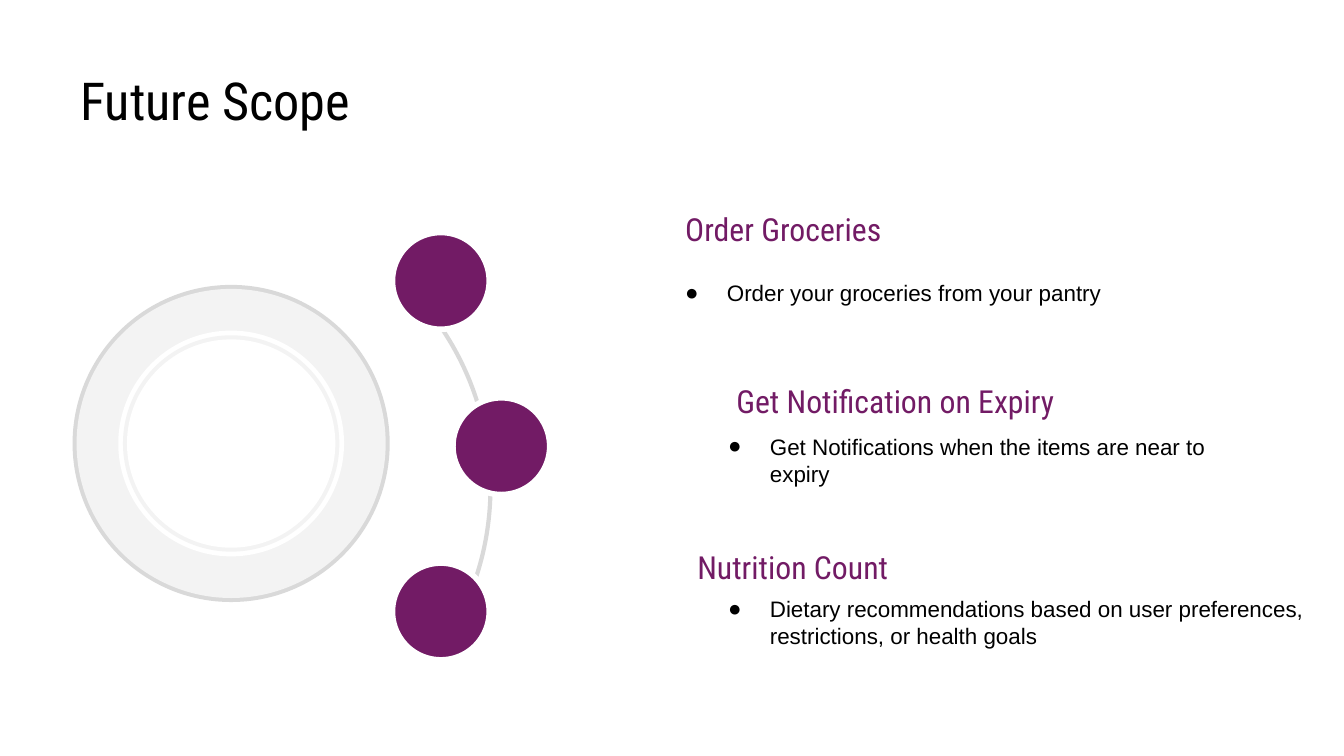
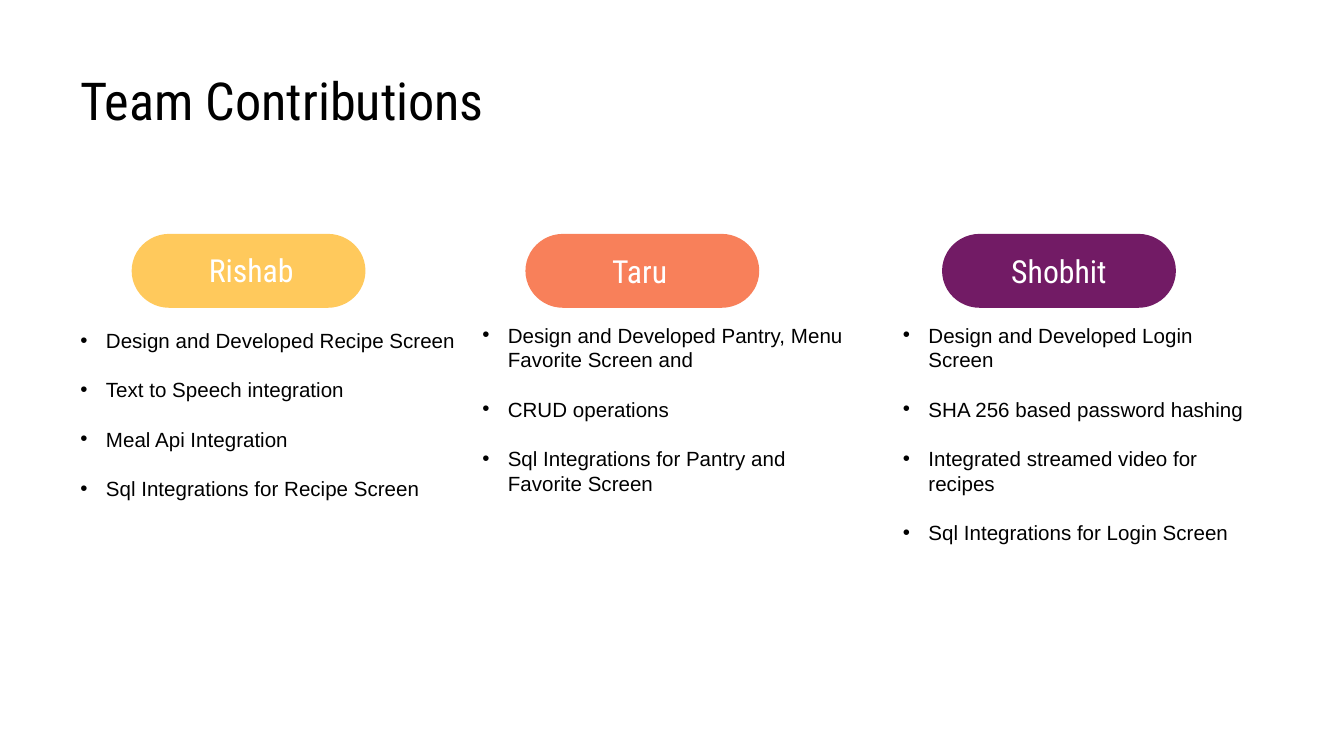
from lxml import etree
from pptx import Presentation
from pptx.dml.color import RGBColor
from pptx.enum.shapes import MSO_SHAPE
from pptx.enum.text import MSO_ANCHOR, PP_ALIGN
from pptx.oxml.ns import qn
from pptx.util import Inches, Pt

OVAL = MSO_SHAPE.OVAL
ARC = MSO_SHAPE.ARC
PILL = MSO_SHAPE.FLOWCHART_TERMINATOR
TOP = MSO_ANCHOR.TOP
MIDDLE = MSO_ANCHOR.MIDDLE
LEFT = PP_ALIGN.LEFT
CENTER = PP_ALIGN.CENTER

BLACK = RGBColor(0x00, 0x00, 0x00)
WHITE = RGBColor(0xFF, 0xFF, 0xFF)
PALE = RGBColor(0xF3, 0xF3, 0xF3)
GREY = RGBColor(0xD9, 0xD9, 0xD9)
PLUM = RGBColor(0x72, 0x1B, 0x65)
CORAL = RGBColor(0xF8, 0x80, 0x5A)
AMBER = RGBColor(0xFF, 0xC9, 0x5C)

HEAD = "Roboto Condensed"
BODY = "Arial"

# Centre of the rings, then diameter and fill from the outside in
HUB = (1.72, 3.3)
RINGS = [(2.36, GREY), (2.3, PALE), (1.68, WHITE), (1.61, PALE), (1.55, WHITE)]

# Left and top of each dot
DOTS = [(2.92, 1.73), (3.37, 2.96), (2.92, 4.19)]

# Heading and its place, then point and its place (left, top, width)
GOALS = [
    ("Order Groceries", 5, 1.52,
     "Order your groceries from your pantry", 5, 1.97, 4.11),
    ("Get Notification on Expiry", 5.38, 2.8,
     "Get Notifications when the items are near to expiry", 5.32, 3.21, 4.11),
    ("Nutrition Count", 5.09, 4.03,
     "Dietary recommendations based on user preferences, "
     "restrictions, or health goals", 5.32, 4.42, 4.52),
]

# Name, its left and top, pill colour and left, list box, tasks
TEAM = [
    ("Rishab", 1, 1.8, AMBER, 0.98, (0.5, 2.34, 3.3, 1.48), [
        "Design and Developed Recipe Screen",
        "Text to Speech integration",
        "Meal Api Integration",
        "Sql Integrations for Recipe Screen"]),
    ("Taru", 3.89, 1.81, CORAL, 3.91, (3.49, 2.3, 3.03, 1.48), [
        "Design and Developed Pantry, Menu Favorite Screen and",
        "CRUD operations",
        "Sql Integrations for Pantry and Favorite Screen"]),
    ("Shobhit", 7.01, 1.81, PLUM, 7.01, (6.62, 2.3, 2.87, 1.85), [
        "Design and Developed Login Screen",
        "SHA 256 based password hashing",
        "Integrated streamed video for recipes",
        "Sql Integrations for Login Screen"]),
]


def add_bullet(para, char, indent):
    props = para._p.get_or_add_pPr()
    props.set("marL", str(Inches(indent)))
    props.set("indent", str(-Inches(indent)))
    tint = etree.SubElement(props, qn("a:buClr"))
    etree.SubElement(tint, qn("a:srgbClr"), val=str(BLACK))
    etree.SubElement(props, qn("a:buFont"), typeface=BODY)
    etree.SubElement(props, qn("a:buChar"), char=char)


def add_text(slide, box, lines, size, name, color, align=LEFT, anchor=MIDDLE,
             bullet=None, gap=0):
    frame = slide.shapes.add_textbox(*map(Inches, box)).text_frame
    frame.word_wrap = True
    frame.vertical_anchor = anchor
    frame.margin_left = frame.margin_right = Inches(0.1)
    frame.margin_top = frame.margin_bottom = Inches(0.1)
    for i, line in enumerate(lines):
        para = frame.add_paragraph() if i else frame.paragraphs[0]
        para.text = line
        para.alignment = align
        if bullet:
            add_bullet(para, *bullet)
        if i and gap:
            para.space_before = Pt(gap)
        para.font.size = Pt(size)
        para.font.name = name
        para.font.color.rgb = color


def add_shape(slide, kind, box, fill=None, line=None, width=0):
    shape = slide.shapes.add_shape(kind, *map(Inches, box))
    shape.shadow.inherit = False
    if fill is None:
        shape.fill.background()
    else:
        shape.fill.solid()
        shape.fill.fore_color.rgb = fill
    if line is None:
        shape.line.fill.background()
    else:
        shape.line.color.rgb = line
        shape.line.width = Pt(width)
    return shape


def add_arc(slide, box, start, end):
    arc = add_shape(slide, ARC, box, line=GREY, width=2.25)
    # Angles are stored in 60000ths of a degree, adjustments in 100000ths
    arc.adjustments[0] = start * 0.6
    arc.adjustments[1] = end * 0.6


def add_page(deck, title):
    slide = deck.slides.add_slide(deck.slide_layouts[6])
    add_text(slide, (0.5, 0.41, 9, 0.63), [title], 28, HEAD, BLACK, anchor=TOP)
    return slide


def add_scope(deck):
    slide = add_page(deck, "Future Scope")
    # Rings, arc and dots
    x, y = HUB
    for size, fill in RINGS:
        add_shape(slide, OVAL, (x - size / 2, y - size / 2, size, size), fill)
    add_arc(slide, (-0.59, 1.51, 4.24, 4.24), 322.56, 34.02)
    for left, top in DOTS:
        add_shape(slide, OVAL, (left, top, 0.72, 0.72), PLUM, WHITE, 3)
    # Headings with their points
    for head, hx, hy, point, px, py, width in GOALS:
        add_text(slide, (hx, hy, 4.11, 0.37), [head], 17, HEAD, PLUM)
        add_text(slide, (px, py, width, 0.42), [point], 12, BODY, BLACK,
                 bullet=("●", 0.31))


def add_team(deck):
    slide = add_page(deck, "Team Contributions")
    for name, x, y, fill, left, box, tasks in TEAM:
        add_shape(slide, PILL, (left, 1.74, 1.74, 0.55), fill)
        add_text(slide, (x, y, 1.74, 0.41), [name], 17, HEAD, WHITE,
                 align=CENTER)
        add_text(slide, box, tasks, 11, BODY, BLACK, anchor=TOP,
                 bullet=("•", 0.19), gap=13.2)


def main():
    deck = Presentation()
    # Widescreen, 16:9
    deck.slide_width = Inches(10)
    deck.slide_height = deck.slide_width * 9 // 16
    add_scope(deck)
    add_team(deck)
    deck.save("out.pptx")


if __name__ == "__main__":
    main()
